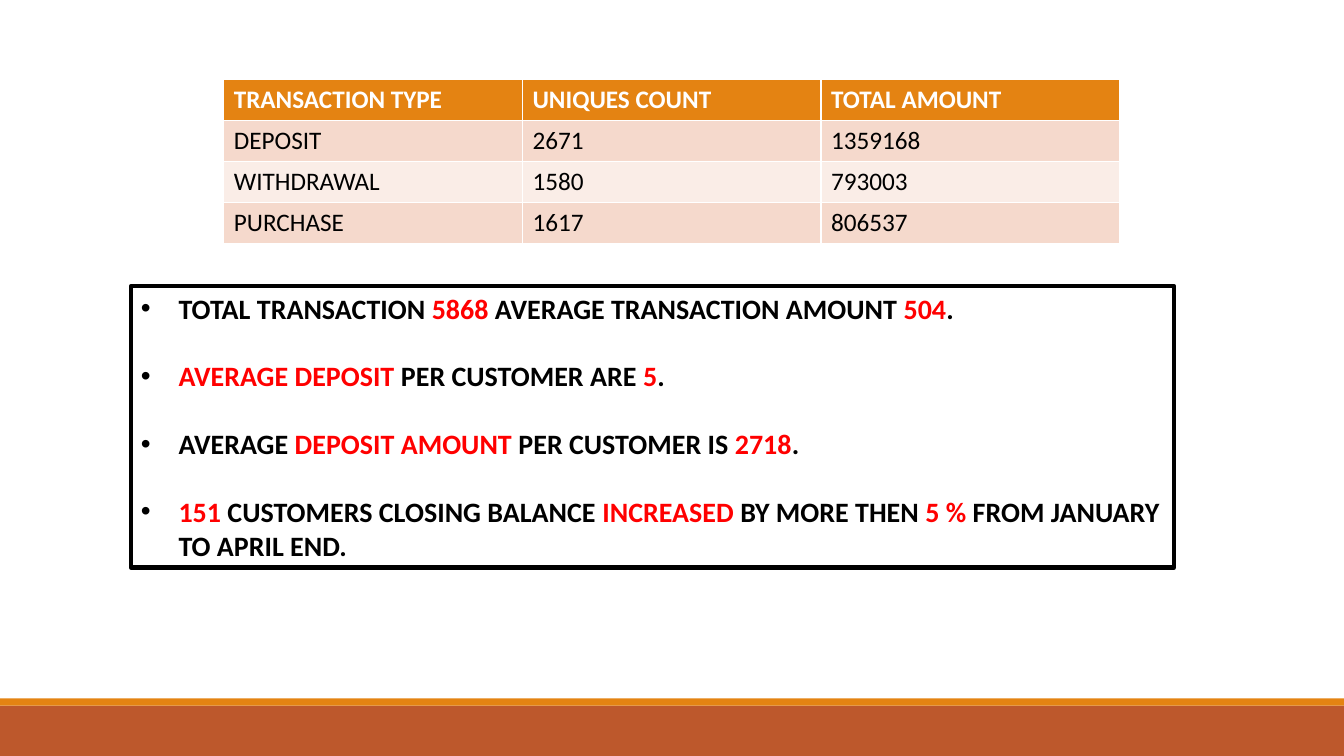
from dataclasses import dataclass

from lxml.etree import SubElement
from pptx import Presentation
from pptx.dml.color import RGBColor
from pptx.enum.text import MSO_ANCHOR, MSO_AUTO_SIZE
from pptx.enum.shapes import MSO_SHAPE
from pptx.oxml.ns import qn
from pptx.util import Cm, Pt


@dataclass(frozen=True)
class Theme:
    """Colours and type sizes of the slide."""
    face: str = "Calibri"
    ink: str = "000000"
    paper: str = "FFFFFF"
    alert: str = "FF0000"
    amber: str = "E48312"
    rust: str = "BD582C"
    bands: tuple = ("F5D9CC", "FAEDE7")
    cell: int = 18
    note: int = 20
    gap: float = 24.4


THEME = Theme()
ROWS = [
    ("TRANSACTION TYPE", "UNIQUES COUNT", "TOTAL AMOUNT"),
    ("DEPOSIT", "2671", "1359168"),
    ("WITHDRAWAL", "1580", "793003"),
    ("PURCHASE", "1617", "806537"),
]
NOTES = [
    "TOTAL TRANSACTION *5868* AVERAGE TRANSACTION AMOUNT *504*.",
    "*AVERAGE DEPOSIT *PER CUSTOMER ARE *5*.",
    "AVERAGE *DEPOSIT AMOUNT *PER CUSTOMER IS *2718*.",
    "*151* CUSTOMERS CLOSING BALANCE *INCREASED* BY MORE THEN *5 %* FROM JANUARY TO APRIL END.",
]


def tint(fill, tone):
    """Make a fill solid in the given tone."""
    fill.solid()
    fill.fore_color.rgb = RGBColor.from_string(tone)


def style(font, size, tone, bold):
    """Set face, size, colour and weight of a font."""
    font.name, font.size, font.bold = THEME.face, Pt(size), bold
    font.color.rgb = RGBColor.from_string(tone)


def add_bullet(para):
    """Give a paragraph a hanging black bullet."""
    props = para._p.get_or_add_pPr()
    props.set("marL", str(Cm(0.95)))
    props.set("indent", str(Cm(-0.95)))
    tone = SubElement(props, qn("a:buClr"))
    SubElement(tone, qn("a:srgbClr"), val=THEME.ink)
    SubElement(props, qn("a:buFont"), typeface="Arial")
    SubElement(props, qn("a:buChar"), char="•")


def add_footer(slide, left, top, width, height):
    """Draw the rust band with its amber strip on top."""
    strip = Cm(0.18)
    for y, tall, tone in ((top + strip, height - strip, THEME.rust), (top, strip, THEME.amber)):
        band = slide.shapes.add_shape(MSO_SHAPE.RECTANGLE, left, y, width, tall)
        band.shadow.inherit = False
        band.line.fill.background()
        tint(band.fill, tone)


def add_totals(slide, left, top, width, height):
    """Place the table of transaction totals."""
    table = slide.shapes.add_table(len(ROWS), len(ROWS[0]), left, top, width, height).table
    for r, row in enumerate(ROWS):
        head = r == 0
        for c, text in enumerate(row):
            cell = table.cell(r, c)
            cell.text = text
            tint(cell.fill, THEME.amber if head else THEME.bands[(r - 1) % 2])
            tone = THEME.paper if head else THEME.ink
            style(cell.text_frame.paragraphs[0].font, THEME.cell, tone, head)


def add_notes(slide, left, top, width, height):
    """Place the framed findings, with starred parts in red."""
    box = slide.shapes.add_textbox(left, top, width, height)
    box.line.width = Pt(3)
    box.line.color.rgb = RGBColor.from_string(THEME.ink)
    frame = box.text_frame
    frame.word_wrap = True
    frame.auto_size = MSO_AUTO_SIZE.SHAPE_TO_FIT_TEXT
    frame.vertical_anchor = MSO_ANCHOR.TOP
    for i, note in enumerate(NOTES):
        para = frame.add_paragraph() if i else frame.paragraphs[0]
        if i:
            para.space_before = Pt(THEME.gap)
        add_bullet(para)
        style(para.font, THEME.note, THEME.ink, True)
        for j, part in enumerate(note.split("*")):
            if part:
                run = para.add_run()
                run.text = part
                if j % 2:
                    run.font.color.rgb = RGBColor.from_string(THEME.alert)


def main():
    """Build and save the slide."""
    deck = Presentation()
    deck.slide_width, deck.slide_height = Cm(33.87), Cm(19.05)
    slide = deck.slides.add_slide(deck.slide_layouts[6])
    add_footer(slide, 0, Cm(17.6), deck.slide_width, Cm(1.45))
    add_totals(slide, Cm(5.64), Cm(2.01), Cm(22.58), Cm(4.12))
    add_notes(slide, Cm(3.3), Cm(7.21), Cm(26.29), Cm(7.09))
    deck.save("out.pptx")


if __name__ == "__main__":
    main()
